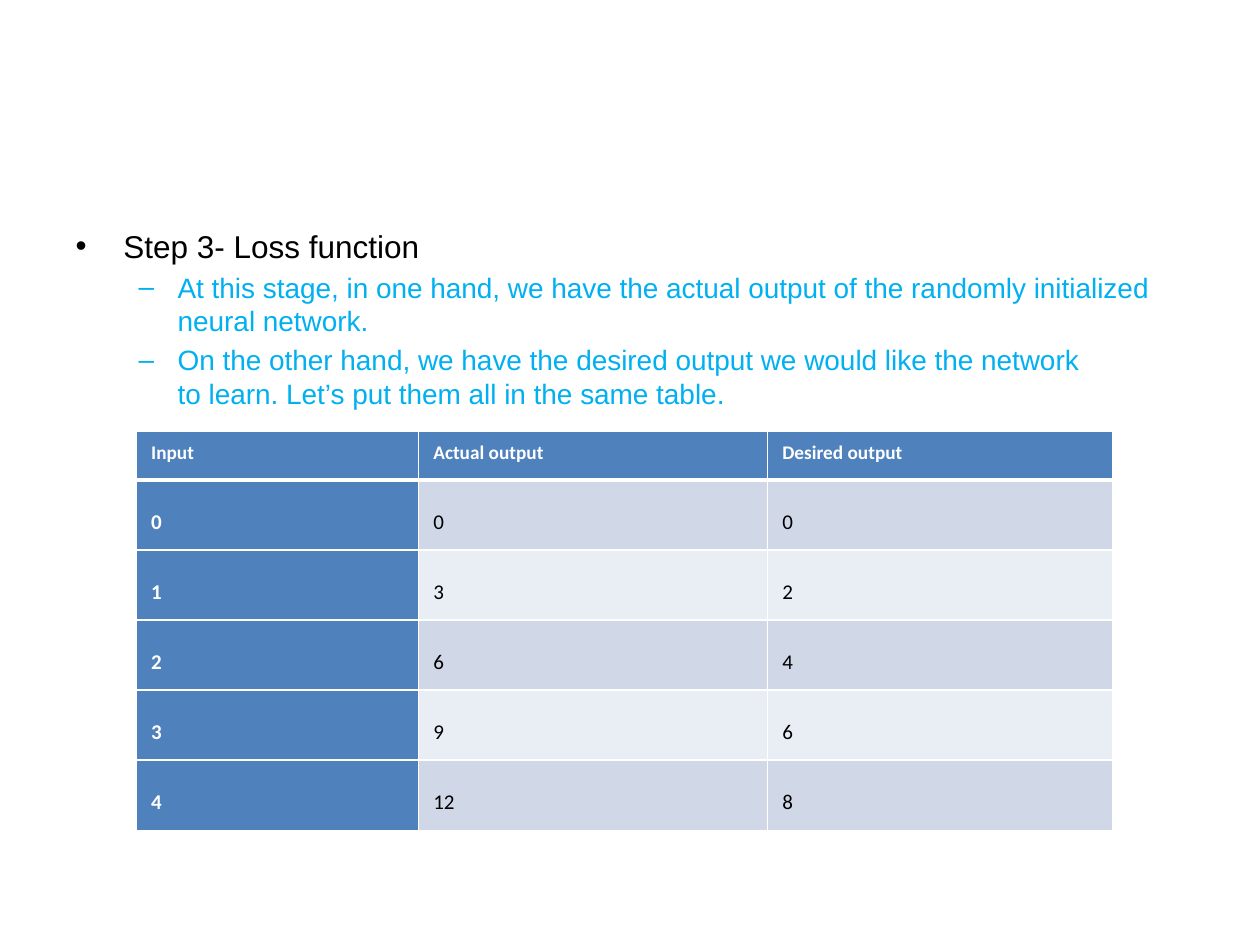
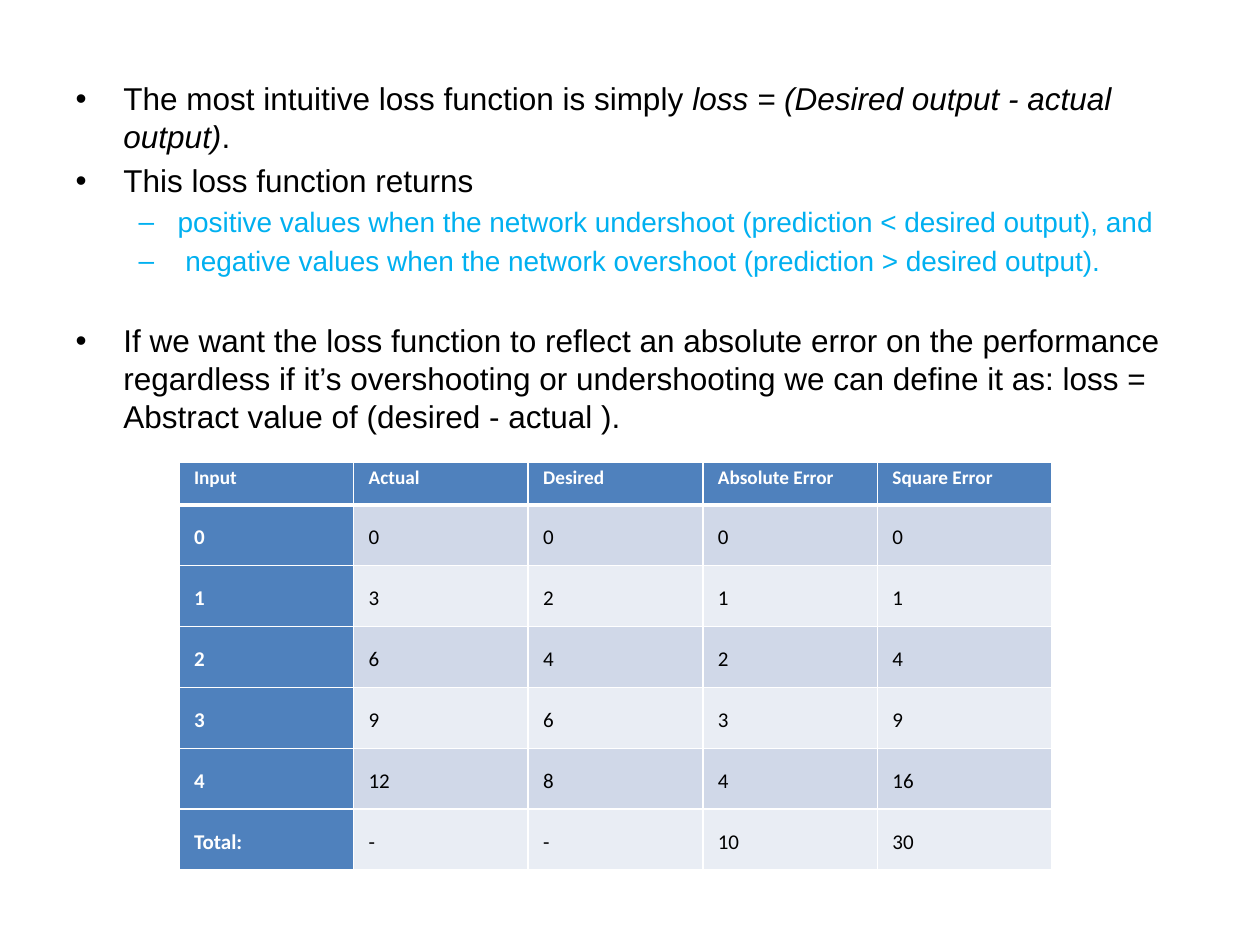
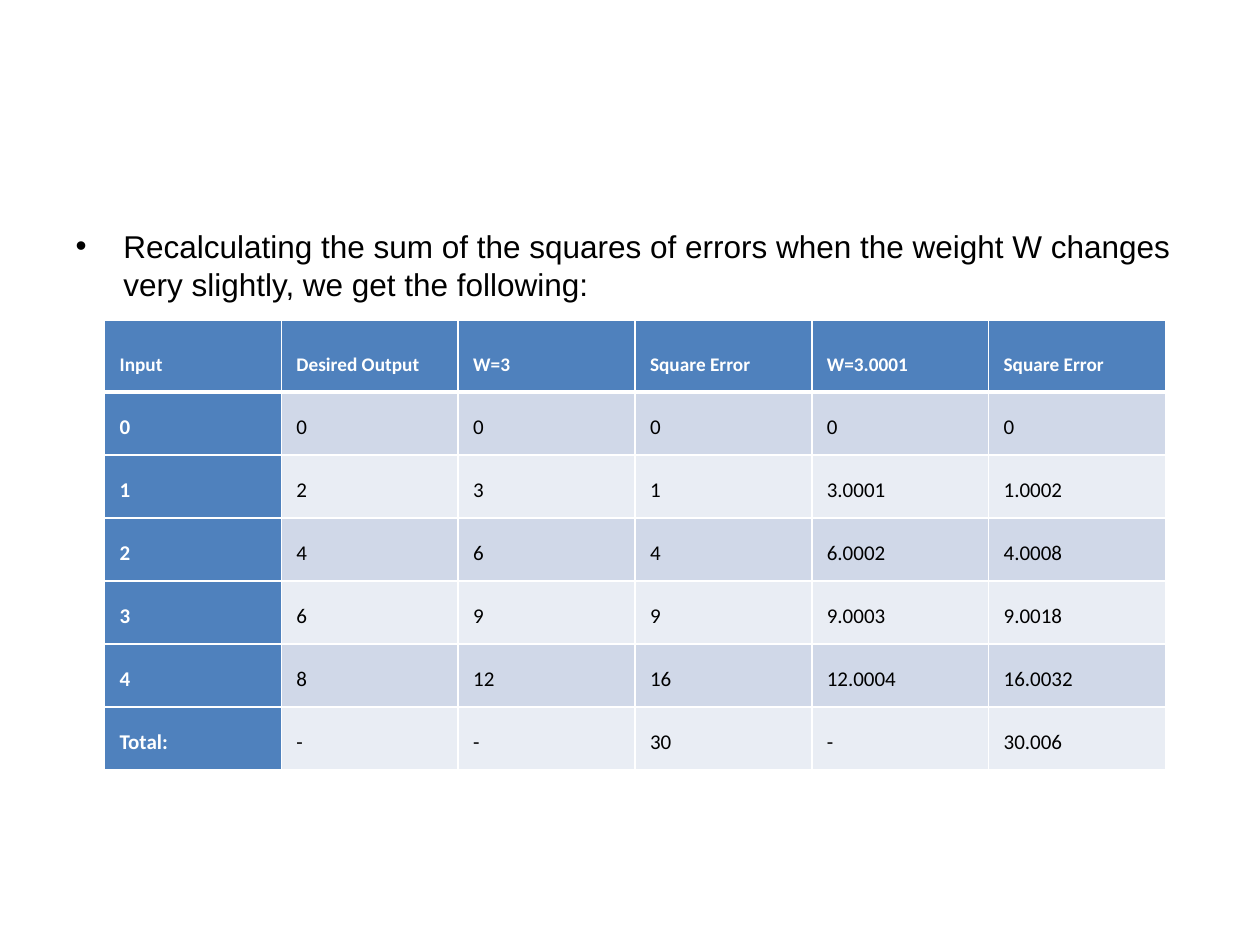
from pptx import Presentation
from pptx import util as u
from pptx.dml.color import RGBColor
from pptx.enum import text
from pptx.oxml import ns
from lxml import etree

COLORS = {
    "text": "000000", "detail": "00B0F0", "white": "FFFFFF",
    "header": "4F81BD", "band_dark": "D0D8E8", "band_light": "E9EDF4",
}
BODY_FONT, TABLE_FONT = "Arial", "Calibri"
# Outline levels: size, colour, left margin and first-line indent in inches
LEVELS = [(18, "text", 0.38, -0.38), (16, "detail", 0.81, -0.31)]
CELL_MARGIN = u.Inches(0.12)

presentation = Presentation()
presentation.slide_width, presentation.slide_height = u.Inches(10), u.Inches(7.5)
GRID_COLUMNS, GRID_ROWS = 100, 75
COLUMN = presentation.slide_width / GRID_COLUMNS
ROW = presentation.slide_height / GRID_ROWS


def to_lengths(box):
    """Turn a box in grid columns and rows into slide lengths."""
    left, top, width, height = box
    return [u.Emu(round(value)) for value in
            (left * COLUMN, top * ROW, width * COLUMN, height * ROW)]


def add_run(paragraph, wording, font, size, color, bold=None, italic=None):
    run = paragraph.add_run()
    run.text = wording
    run.font.name, run.font.size = font, u.Pt(size)
    run.font.bold, run.font.italic = bold, italic
    run.font.color.rgb = RGBColor.from_string(COLORS[color])


def add_outline(slide, box, items):
    """Fill the body; an item is level, runs (wording, italic), gap before."""
    body = slide.placeholders[1]
    body.left, body.top, body.width, body.height = to_lengths(box)
    frame = body.text_frame
    frame.word_wrap = True
    frame.auto_size = text.MSO_AUTO_SIZE.NONE
    for index, (level, runs, gap) in enumerate(items):
        paragraph = frame.add_paragraph() if index else frame.paragraphs[0]
        size, color, margin, indent = LEVELS[level]
        paragraph.level = level
        if gap:
            paragraph.space_before = u.Pt(gap)
        properties = paragraph._p.get_or_add_pPr()
        properties.set("marL", str(u.Inches(margin)))
        properties.set("indent", str(u.Inches(indent)))
        for wording, italic in runs:
            add_run(paragraph, wording, BODY_FONT, size, color, italic=italic)


def add_borders(cell, widths):
    """Draw white cell borders, given in points by side."""
    properties = cell._tc.get_or_add_tcPr()
    for side in "LRTB":
        line = etree.SubElement(properties, ns.qn("a:ln" + side),
                                w=str(u.Pt(widths.get(side, 1))))
        fill = etree.SubElement(line, ns.qn("a:solidFill"))
        etree.SubElement(fill, ns.qn("a:srgbClr"), val=COLORS["white"])


def format_cell(cell, wording, row, column):
    is_header, is_label = row == 0, row == 0 or column == 0
    add_borders(cell, {0: {"B": 3}, 1: {"T": 3}}.get(row, {}))
    band = "band_dark" if row % 2 else "band_light"
    cell.fill.solid()
    cell.fill.fore_color.rgb = RGBColor.from_string(
        COLORS["header" if is_label else band])
    cell.vertical_anchor = text.MSO_ANCHOR.BOTTOM
    cell.margin_left = cell.margin_right = cell.margin_bottom = CELL_MARGIN
    cell.margin_top = 0 if is_header else CELL_MARGIN
    paragraph = cell.text_frame.paragraphs[0]
    paragraph.line_spacing = 1.15
    add_run(paragraph, wording, TABLE_FONT, 11 if is_header else 12,
            "white" if is_label else "text", bold=is_label)


def add_data_table(slide, box, header_rows, rows, weights=None):
    """Header takes header_rows of the grid; the other rows share the rest."""
    weights = weights or [1] * len(rows[0])
    left, top, width, height = to_lengths(box)
    table = slide.shapes.add_table(
        len(rows), len(weights), left, top, width, height).table
    for column, weight in zip(table.columns, weights):
        column.width = round(width * weight / sum(weights))
    header_height = round(header_rows * ROW)
    for index, row in enumerate(table.rows):
        row.height = (round((height - header_height) / (len(rows) - 1))
                      if index else header_height)
    for row, values in enumerate(rows):
        for column, wording in enumerate(values):
            format_cell(table.cell(row, column), wording, row, column)


def add_lesson(outline_box, items, table_box, header_rows, rows, weights=None):
    """A slide without a title: outline above, table below."""
    slide = presentation.slides.add_slide(presentation.slide_layouts[1])
    title = slide.shapes.title._element
    title.getparent().remove(title)
    add_outline(slide, outline_box, items)
    add_data_table(slide, table_box, header_rows, rows, weights)


def plain(level, wording, gap=None):
    return level, [(wording, None)], gap


LOW_BODY, HIGH_BODY = (5, 17.5, 90, 49.5), (5, 5.8, 90, 61.2)

# Loss function
add_lesson(
    LOW_BODY,
    [plain(0, "Step 3- Loss function"),
     plain(1, "At this stage, in one hand, we have the actual output of the "
              "randomly initialized neural network. "),
     plain(1, "On the other hand, we have the desired output we would like the "
              "network to\u00a0learn. Let’s put them all in the same table.")],
    (10.8, 34.2, 77.5, 31.7), 3.9,
    [["Input", "Actual output", "Desired output"],
     ["0", "0", "0"],
     ["1", "3", "2"],
     ["2", "6", "4"],
     ["3", "9", "6"],
     ["4", "12", "8"]],
    weights=[2.24, 2.77, 2.74])

# Absolute and square error
add_lesson(
    HIGH_BODY,
    [(0, [("The most intuitive loss function is simply\u00a0", None),
          ("loss = (Desired output - actual output)", True),
          (". ", None)], None),
     plain(0, "This loss function returns "),
     plain(1, "positive values when the network undershoot "
              "(prediction < desired output), and"),
     plain(1, " negative values when the network overshoot "
              "(prediction > desired output). "),
     plain(0, "If we want the loss function to reflect an\u00a0absolute error on "
              "the performance regardless if it’s overshooting or undershooting "
              "we can define it as:\u00a0loss = Abstract value of "
              "(desired - actual ).", gap=25)],
    (14.2, 36.7, 69.3, 32.3), 3.3,
    [["Input", "Actual", "Desired", "Absolute Error", "Square Error"],
     ["0", "0", "0", "0", "0"],
     ["1", "3", "2", "1", "1"],
     ["2", "6", "4", "2", "4"],
     ["3", "9", "6", "3", "9"],
     ["4", "12", "8", "4", "16"],
     ["Total:", "-", "-", "10", "30"]])

# Effect of a small weight change
add_lesson(
    LOW_BODY,
    [plain(0, "Recalculating the sum of the squares of errors when the "
              "weight\u00a0W\u00a0changes very slightly, we get the following:")],
    (8.3, 25.4, 84.2, 35.7), 5.7,
    [["Input", "Desired Output", "W=3", "Square Error", "W=3.0001", "Square Error"],
     ["0", "0", "0", "0", "0", "0"],
     ["1", "2", "3", "1", "3.0001", "1.0002"],
     ["2", "4", "6", "4", "6.0002", "4.0008"],
     ["3", "6", "9", "9", "9.0003", "9.0018"],
     ["4", "8", "12", "16", "12.0004", "16.0032"],
     ["Total:", "-", "-", "30", "-", "30.006"]])

presentation.save("out.pptx")
